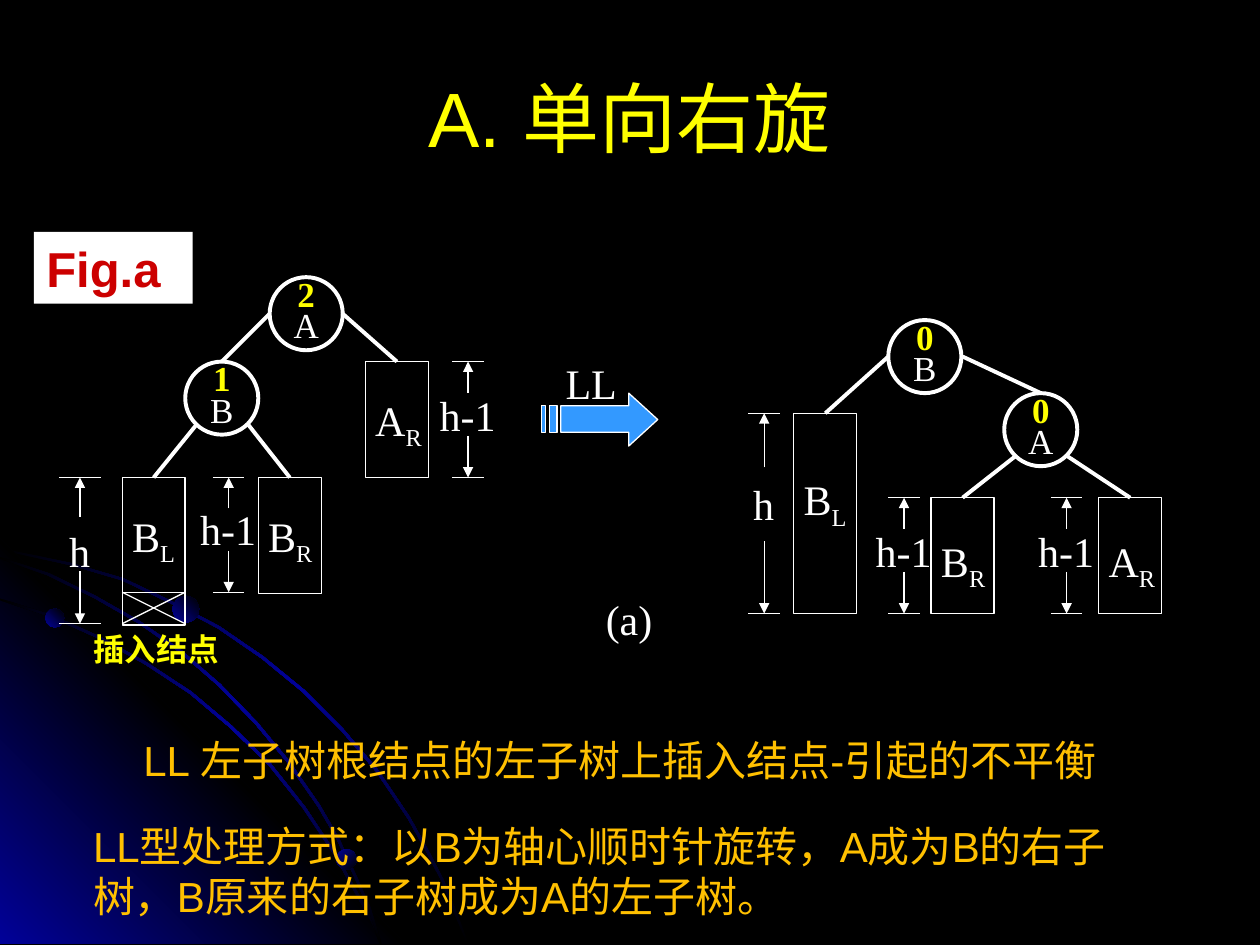
import dataclasses
import typing

import lxml.etree
import pptx
import pptx.dml.color
import pptx.enum.shapes
import pptx.enum.text
import pptx.oxml.ns
import pptx.util

Inches, Pt = pptx.util.Inches, pptx.util.Pt
SHAPE = pptx.enum.shapes.MSO_SHAPE
ALIGN = pptx.enum.text.PP_ALIGN
ANCHOR = pptx.enum.text.MSO_ANCHOR
AUTO = pptx.enum.text.MSO_AUTO_SIZE
qn = pptx.oxml.ns.qn
Point = typing.Tuple[float, float]


@dataclasses.dataclass(frozen=True)
class Theme:
    black: str = "000000"
    blue: str = "010199"
    white: str = "FFFFFF"
    yellow: str = "FFFF00"
    orange: str = "FFC000"
    red: str = "CC0000"
    arrow: str = "3399FF"
    sans: str = "Arial"
    serif: str = "Times New Roman"
    title: int = 44
    tag: int = 28
    body: int = 24
    node: int = 20
    note: int = 18
    thin: float = 0.75
    thick: float = 2.25


T = Theme()


class Node(typing.NamedTuple):
    x: float
    y: float
    balance: str
    name: str


class Subtree(typing.NamedTuple):
    x: float
    y: float
    height: float
    name: str
    sub: str
    label_y: float


class Measure(typing.NamedTuple):
    x: float
    width: float
    top: float
    bottom: float
    label: str
    label_y: float


class Edge(typing.NamedTuple):
    start: Point
    end: Point


NODE_SIZE, TREE_WIDTH, BOTTOM = 0.58, 0.5, 7.49

NODES = [Node(2.14, 2.2, "2", "A"), Node(1.47, 2.87, "1", "B"),
         Node(7.97, 3.12, "0", "A"), Node(7.05, 2.54, "0", "B")]
SUBTREES = [Subtree(0.97, 3.79, 1.17, "B", "L", 4.0), Subtree(2.05, 3.79, 0.92, "B", "R", 4.0),
            Subtree(2.9, 2.87, 0.92, "A", "R", 3.08), Subtree(6.3, 3.28, 1.59, "B", "L", 3.71),
            Subtree(7.39, 3.95, 0.92, "B", "R", 4.2), Subtree(8.72, 3.95, 0.92, "A", "R", 4.2)]
MEASURES = [Measure(0.47, 0.33, 3.79, 4.95, "h", 4.12), Measure(1.69, 0.25, 3.79, 4.7, "h-1", 3.95),
            Measure(3.59, 0.25, 2.87, 3.79, "h-1", 3.04), Measure(5.94, 0.25, 3.28, 4.87, "h", 3.75),
            Measure(7.05, 0.25, 3.95, 4.87, "h-1", 4.12), Measure(8.34, 0.25, 3.95, 4.87, "h-1", 4.12)]
EDGES = [Edge((2.14, 2.49), (1.76, 2.87)), Edge((2.72, 2.49), (3.15, 2.87)),
         Edge((1.56, 3.37), (1.22, 3.79)), Edge((1.97, 3.37), (2.3, 3.79)),
         Edge((7.05, 2.83), (6.55, 3.28)), Edge((7.64, 2.83), (8.26, 3.12)),
         Edge((8.06, 3.62), (7.64, 3.95)), Edge((8.47, 3.62), (8.97, 3.95))]

# Upper edges of the background arcs
ARCS = [
    [(0, 4.35), (0.57, 4.47), (0.98, 4.59), (1.36, 4.77), (1.74, 4.97), (2.09, 5.21), (2.42, 5.48),
     (2.72, 5.78), (3, 6.11), (3.25, 6.48), (3.39, 6.73), (3.52, 6.98), (3.62, 7.23), (3.72, BOTTOM)],
    [(0, 4.75), (0.41, 4.88), (0.79, 5.05), (1.17, 5.26), (1.52, 5.49), (1.84, 5.76), (2.15, 6.06),
     (2.42, 6.4), (2.66, 6.76), (2.86, 7.12), (2.96, 7.3), (3.03, BOTTOM)],
    [(0, 4.42), (0.39, 4.55), (0.76, 4.73), (1.11, 4.93), (1.44, 5.16), (1.75, 5.43), (2.04, 5.73),
     (2.29, 6.03), (2.54, 6.39), (2.69, 6.65), (2.82, 6.93), (2.94, 7.2), (3.03, BOTTOM)],
]


def rgb(value: str) -> pptx.dml.color.RGBColor:
    return pptx.dml.color.RGBColor.from_string(value)


def style(p, size: int, color: str, font: str, bold: bool = False) -> None:
    p.font.size, p.font.name, p.font.bold = Pt(size), font, bold
    p.font.color.rgb = rgb(color)


def add_text(s, x: float, y: float, w: float, h: float, text: str, size: int = T.body,
             color: str = T.white, font: str = T.serif, bold: bool = False,
             wrap: bool = False, sub: str = ""):
    sp = s.shapes.add_textbox(Inches(x), Inches(y), Inches(w), Inches(h))
    tf = sp.text_frame
    tf.word_wrap, tf.auto_size = wrap, AUTO.SHAPE_TO_FIT_TEXT
    p = tf.paragraphs[0]
    p.add_run().text = text
    if sub:
        r = p.add_run()
        r.text = sub
        r._r.get_or_add_rPr().set("baseline", "-25000")
    style(p, size, color, font, bold)
    return sp


def add_line(s, start: Point, end: Point, width: float = T.thin, arrow: bool = False) -> None:
    c = s.shapes.add_connector(pptx.enum.shapes.MSO_CONNECTOR.STRAIGHT,
                               *(Inches(v) for v in (*start, *end)))
    c.line.color.rgb, c.line.width = rgb(T.white), Pt(width)
    if arrow:
        lxml.etree.SubElement(c.line._get_or_add_ln(), qn("a:tailEnd"), type="triangle")
    lxml.etree.SubElement(c._element.spPr, qn("a:effectLst"))


def add_preset(s, kind, x: float, y: float, w: float, h: float, width: float = T.thin):
    sp = s.shapes.add_shape(kind, Inches(x), Inches(y), Inches(w), Inches(h))
    sp.shadow.inherit = False
    sp.fill.background()
    sp.line.color.rgb, sp.line.width = rgb(T.white), Pt(width)
    return sp


def add_outline(s, *contours: typing.Sequence[Point]):
    builder = None
    for contour in contours:
        first, *rest = [(Inches(x), Inches(y)) for x, y in contour]
        if builder is None:
            builder = s.shapes.build_freeform(*first, scale=1.0)
        else:
            builder.move_to(*first)
        builder.add_line_segments(rest, close=True)
    sp = builder.convert_to_shape()
    sp.shadow.inherit = False
    return sp


def fill_gradient(sp, colors: typing.Sequence[str], angle: int) -> None:
    """Spread colours evenly along a clockwise angle."""
    sp.fill.gradient()
    sp.fill.gradient_angle = 360 - angle
    stops = sp._element.spPr.find(".//" + qn("a:gsLst"))
    for stop in list(stops):
        stops.remove(stop)
    for i, color in enumerate(colors):
        gs = lxml.etree.SubElement(stops, qn("a:gs"), pos=str(100000 * i // (len(colors) - 1)))
        lxml.etree.SubElement(gs, qn("a:srgbClr"), val=color)
    sp.line.fill.background()


def draw_background(s) -> None:
    s.background.fill.solid()
    s.background.fill.fore_color.rgb = rgb(T.black)

    def draw_arc(upper: typing.List[Point]) -> None:
        lower = [(max(x - 0.015, 0), min(y + 0.015, BOTTOM)) for x, y in reversed(upper)]
        fill_gradient(add_outline(s, upper + lower), (T.black, T.blue, T.black), 45)

    draw_arc(ARCS[0])
    wedge = add_outline(s, [(3.22, BOTTOM), (0, BOTTOM), (0, 4.27)])
    fill_gradient(wedge, (T.blue, T.black, T.blue), 315)
    for arc in ARCS[1:]:
        draw_arc(arc)
    for x, y, d, angle in [(0.36, 4.83, 0.15, 315), (2.67, 6.74, 0.16, 45), (1.37, 4.73, 0.21, 315)]:
        fill_gradient(add_preset(s, SHAPE.OVAL, x, y, d, d), (T.blue, T.black), angle)


def draw_node(s, n: Node) -> None:
    sp = add_preset(s, SHAPE.OVAL, n.x, n.y, NODE_SIZE, NODE_SIZE, T.thick)
    tf = sp.text_frame
    tf.word_wrap, tf.vertical_anchor = False, ANCHOR.MIDDLE
    tf.text = f"{n.balance}\n{n.name}"
    for p, color, bold in zip(tf.paragraphs, (T.yellow, T.white), (True, False)):
        p.alignment, p.line_spacing = ALIGN.CENTER, 0.75
        style(p, T.node, color, T.serif, bold)


def draw_subtree(s, t: Subtree) -> None:
    add_preset(s, SHAPE.RECTANGLE, t.x, t.y, TREE_WIDTH, t.height)
    add_text(s, t.x - 0.02, t.label_y, 0.57, 0.5, t.name, sub=t.sub)


def draw_measure(s, m: Measure) -> None:
    mid, height = m.x + m.width / 2, m.bottom - m.top
    for y in (m.top, m.bottom):
        add_line(s, (m.x, y), (m.x + m.width, y))
    w = 0.37 if m.label == "h" else 0.65
    add_text(s, mid - w / 2, m.label_y, w, 0.5, m.label)
    add_line(s, (mid, m.bottom - 0.36 * height), (mid, m.bottom), arrow=True)
    add_line(s, (mid, m.top + 0.27 * height), (mid, m.top), arrow=True)


def draw_rotation_arrow(s) -> None:
    top, bottom = 3.22, 3.43
    head = [(4.99, 3.12), (4.99, top), (4.45, top), (4.45, bottom), (4.99, bottom),
            (4.99, 3.54), (5.22, 3.33)]
    stripes = [[(a, top), (a, bottom), (b, bottom), (b, top)] for a, b in ((4.36, 4.42), (4.3, 4.33))]
    sp = add_outline(s, head, *stripes)
    sp.fill.solid()
    sp.fill.fore_color.rgb = rgb(T.arrow)
    sp.line.color.rgb, sp.line.width = rgb(T.white), Pt(T.thin)
    add_text(s, 4.39, 2.79, 0.61, 0.5, "LL")


def main() -> None:
    prs = pptx.Presentation()
    prs.slide_width, prs.slide_height = Inches(10), Inches(7.5)
    s = prs.slides.add_slide(prs.slide_layouts[5])
    draw_background(s)

    # Title
    title = s.shapes.title
    title.left, title.top, title.width, title.height = (Inches(v) for v in (0.5, 0.3, 9, 1.25))
    title.text_frame.text = "A. 单向右旋"
    title.text_frame.vertical_anchor = ANCHOR.MIDDLE
    p = title.text_frame.paragraphs[0]
    p.alignment = ALIGN.CENTER
    style(p, T.title, T.yellow, T.sans)

    # Trees before and after the rotation
    for n in NODES:
        draw_node(s, n)
    for t in SUBTREES:
        draw_subtree(s, t)
    for m in MEASURES:
        draw_measure(s, m)
    for e in EDGES:
        add_line(s, e.start, e.end, T.thick)

    # Inserted node under the left subtree
    for y1, y2 in ((4.7, 4.7), (4.7, 4.95), (4.95, 4.7)):
        add_line(s, (0.97, y1), (0.97 + TREE_WIDTH, y2))
    add_text(s, 0.64, 4.95, 1.2, 0.4, "插入结点", T.note, T.yellow, bold=True)

    # Rotation arrow and captions
    draw_rotation_arrow(s)
    add_text(s, 4.71, 4.66, 0.57, 0.5, "(a)")
    tag = add_text(s, 0.27, 1.84, 1.26, 0.57, "Fig.a", T.tag, T.red, T.sans, True, True)
    tag.fill.solid()
    tag.fill.fore_color.rgb = rgb(T.white)
    for x, y, h, text in [
            (1.04, 5.78, 0.5, "LL 左子树根结点的左子树上插入结点-引起的不平衡"),
            (0.64, 6.46, 0.91, "LL型处理方式：以B为轴心顺时针旋转，A成为B的右子树，B原来的右子树成为A的左子树。")]:
        add_text(s, x, y, 8.46, h, text, T.body, T.orange, T.sans, wrap=True)

    prs.save("out.pptx")


if __name__ == "__main__":
    main()
